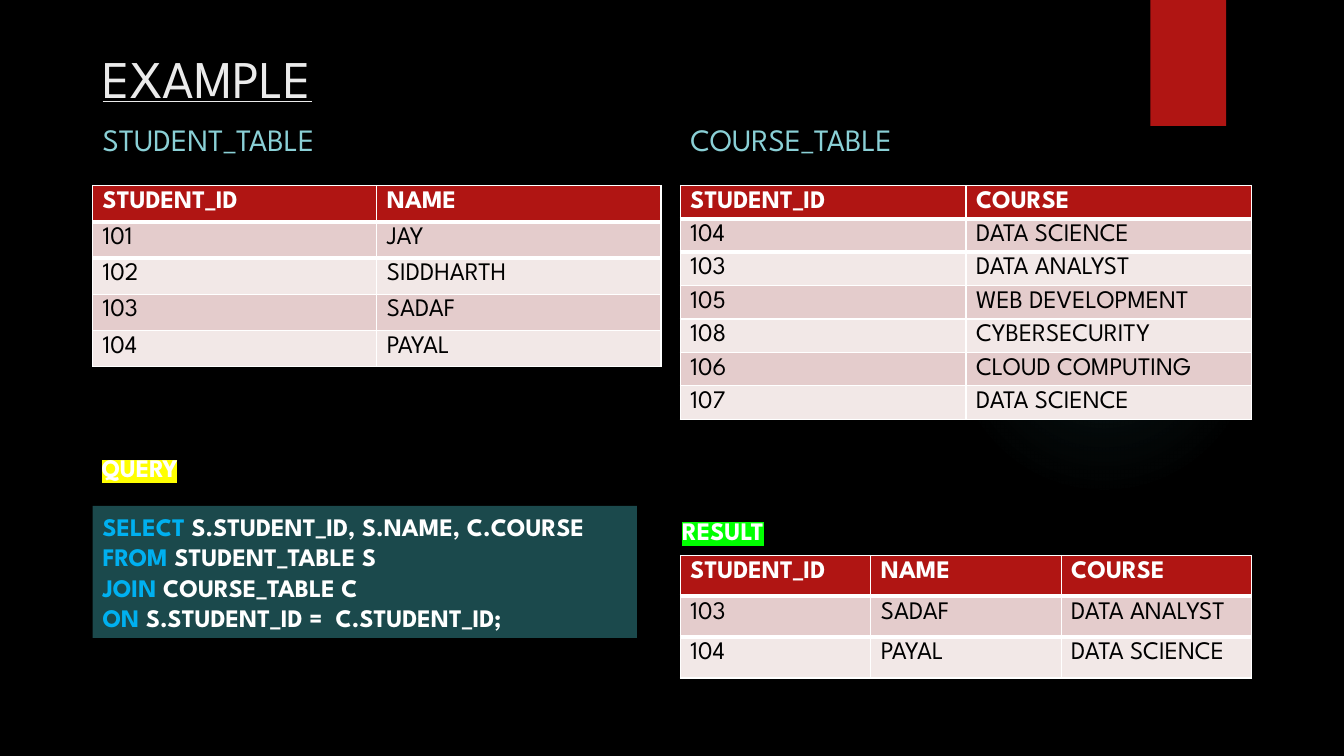
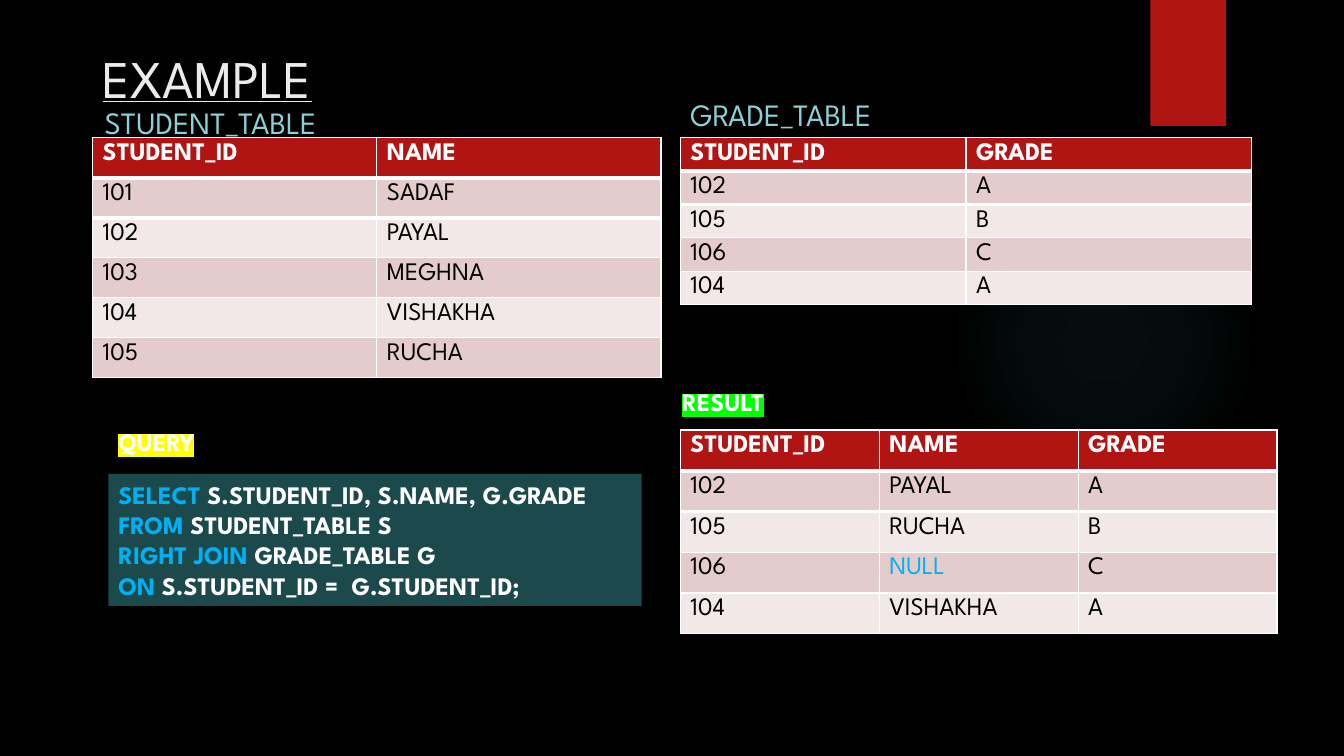
"""Build two slides that explain SQL joins with tables, a query and its result."""

from dataclasses import dataclass

from lxml import etree
from pptx import Presentation
from pptx.dml.color import RGBColor
from pptx.enum.shapes import MSO_SHAPE
from pptx.enum.text import MSO_ANCHOR, MSO_AUTO_SIZE, PP_ALIGN
from pptx.oxml import parse_xml
from pptx.oxml.ns import nsdecls, qn
from pptx.util import Pt

RECTANGLE = MSO_SHAPE.RECTANGLE
OVAL = MSO_SHAPE.OVAL
TOP = MSO_ANCHOR.TOP
BOTTOM = MSO_ANCHOR.BOTTOM
NO_RESIZE = MSO_AUTO_SIZE.NONE
LEFT_ALIGNED = PP_ALIGN.LEFT

BLACK = RGBColor(0x00, 0x00, 0x00)
WHITE = RGBColor(0xFF, 0xFF, 0xFF)
TITLE_GREY = RGBColor(0xEB, 0xEB, 0xEB)
HEADING_AQUA = RGBColor(0x8A, 0xD0, 0xD6)
GLOW_TEAL = RGBColor(0x50, 0xB9, 0xC1)
QUERY_TEAL = RGBColor(0x1B, 0x49, 0x4C)
KEYWORD_BLUE = RGBColor(0x00, 0xB0, 0xF0)
ACCENT_RED = RGBColor(0xB0, 0x15, 0x13)
ROW_DARK = RGBColor(0xE4, 0xCC, 0xCC)
ROW_LIGHT = RGBColor(0xF2, 0xE8, 0xE7)
YELLOW = RGBColor(0xFF, 0xFF, 0x00)
GREEN = RGBColor(0x00, 0xFF, 0x00)

FONT = "League Spartan"
TITLE_SIZE = 37.8
HEADING_SIZE = 22.2
TEXT_SIZE = 18
CELL_LINE_HEIGHT = 16.6
HEADER_RULE_WIDTH = 3

LEFT_COLUMN = 66.2
RIGHT_COLUMN = 486
LEFT_WIDTH = 406
RIGHT_WIDTH = 408
RESULT_LABEL_LEFT = 480.2
LABEL_HEIGHT = 28.8
QUERY_HEIGHT = 94.3
GLOW_STOPS = ((0, 7), (36, 6), (69, 0))


@dataclass(frozen=True)
class Heading:
    """A table name that stands on the bottom of its box."""

    text: str
    left: float
    top: float
    width: float
    height: float


@dataclass(frozen=True)
class Label:
    """A short highlighted caption."""

    text: str
    left: float
    top: float
    width: float
    highlight: RGBColor


@dataclass(frozen=True)
class Grid:
    """A table of equal columns and rows with a header row."""

    left: float
    top: float
    width: float
    row_height: float
    rows: tuple[tuple[str, ...], ...]


@dataclass(frozen=True)
class Query:
    """An SQL statement as pairs of keyword and remaining text."""

    left: float
    top: float
    width: float
    lines: tuple[tuple[str, str], ...]


@dataclass(frozen=True)
class Page:
    """Everything that one slide shows below its title."""

    headings: tuple[Heading, ...]
    grids: tuple[Grid, ...]
    query: Query
    labels: tuple[Label, ...]


PAGES = (
    Page(
        headings=(
            Heading("STUDENT_TABLE", LEFT_COLUMN, 83.5, LEFT_WIDTH, 32.4),
            Heading("COURSE_TABLE", RIGHT_COLUMN, 83.5, RIGHT_WIDTH, 32.4),
        ),
        grids=(
            Grid(LEFT_COLUMN, 132.5, LEFT_WIDTH, 25.9, (
                ("STUDENT_ID", "NAME"),
                ("101", "JAY"),
                ("102", "SIDDHARTH"),
                ("103", "SADAF"),
                ("104", "PAYAL"),
            )),
            Grid(RIGHT_COLUMN, 132.5, RIGHT_WIDTH, 23.8, (
                ("STUDENT_ID", "COURSE"),
                ("104", "DATA SCIENCE"),
                ("103", "DATA ANALYST"),
                ("105", "WEB DEVELOPMENT"),
                ("108", "CYBERSECURITY"),
                ("106", "CLOUD COMPUTING"),
                ("107", "DATA SCIENCE"),
            )),
            Grid(RIGHT_COLUMN, 396.7, RIGHT_WIDTH, 29.2, (
                ("STUDENT_ID", "NAME", "COURSE"),
                ("103", "SADAF", "DATA ANALYST"),
                ("104", "PAYAL", "DATA SCIENCE"),
            )),
        ),
        query=Query(LEFT_COLUMN, 361.4, 388.8, (
            ("SELECT", " S.STUDENT_ID, S.NAME, C.COURSE"),
            ("FROM", " STUDENT_TABLE S"),
            ("JOIN", " COURSE_TABLE C"),
            ("ON", " S.STUDENT_ID =  C.STUDENT_ID;"),
        )),
        labels=(
            Label("QUERY", 65.5, 319.7, 227.5, YELLOW),
            Label("RESULT", RESULT_LABEL_LEFT, 364.3, 124.6, GREEN),
        ),
    ),
    Page(
        headings=(
            Heading("STUDENT_TABLE", 67.7, 74.2, LEFT_WIDTH, 30.2),
            Heading("GRADE_TABLE", RIGHT_COLUMN, 68.4, RIGHT_WIDTH, 30.2),
        ),
        grids=(
            Grid(LEFT_COLUMN, 98.4, LEFT_WIDTH, 28.6, (
                ("STUDENT_ID", "NAME"),
                ("101", "SADAF"),
                ("102", "PAYAL"),
                ("103", "MEGHNA"),
                ("104", "VISHAKHA"),
                ("105", "RUCHA"),
            )),
            Grid(RIGHT_COLUMN, 98.4, RIGHT_WIDTH, 23.8, (
                ("STUDENT_ID", "GRADE"),
                ("102", "A"),
                ("105", "B"),
                ("106", "C"),
                ("104", "A"),
            )),
            Grid(RIGHT_COLUMN, 307.2, 426.2, 29.1, (
                ("STUDENT_ID", "NAME", "GRADE"),
                ("102", "PAYAL", "A"),
                ("105", "RUCHA", "B"),
                ("106", "NULL", "C"),
                ("104", "VISHAKHA", "A"),
            )),
        ),
        query=Query(77.5, 338.4, 380.9, (
            ("SELECT", " S.STUDENT_ID, S.NAME, G.GRADE"),
            ("FROM", " STUDENT_TABLE S"),
            ("RIGHT JOIN ", "GRADE_TABLE G"),
            ("ON", " S.STUDENT_ID =  G.STUDENT_ID;"),
        )),
        labels=(
            Label("RESULT", RESULT_LABEL_LEFT, 272.2, 112.3, GREEN),
            Label("QUERY", 77.5, 301, 112.3, YELLOW),
        ),
    ),
)


def style_span(span, size: float, color: RGBColor, bold: bool = False) -> None:
    """Give a run its font, size, colour and weight."""
    span.font.name = FONT
    span.font.size = Pt(size)
    span.font.color.rgb = color
    span.font.bold = bold


def add_plain_shape(page, kind, left: float, top: float, width: float, height: float, color: RGBColor):
    """Add a filled shape without line or shadow."""
    shape = page.shapes.add_shape(kind, Pt(left), Pt(top), Pt(width), Pt(height))
    shape.shadow.inherit = False
    shape.fill.solid()
    shape.fill.fore_color.rgb = color
    shape.line.fill.background()
    return shape


def add_text(page, text: str, left: float, top: float, width: float, height: float):
    """Add a wrapping text box with one paragraph."""
    box = page.shapes.add_textbox(Pt(left), Pt(top), Pt(width), Pt(height))
    box.text_frame.word_wrap = True
    box.text_frame.text = text
    return box


def decorate_layout(layout, page) -> None:
    """Put the glow and the red band on the layout and place its title."""
    glow = add_plain_shape(page, OVAL, 677.5, 131.8, 221.8, 221.8, GLOW_TEAL)
    stops = "".join(
        f'<a:gs pos="{position * 1000}"><a:srgbClr val="{GLOW_TEAL}">'
        f'<a:alpha val="{opacity * 1000}"/></a:srgbClr></a:gs>'
        for position, opacity in GLOW_STOPS
    )
    gradient = parse_xml(
        f'<a:gradFill {nsdecls("a")} rotWithShape="1"><a:gsLst>{stops}</a:gsLst><a:path path="circle">'
        '<a:fillToRect l="50000" t="50000" r="50000" b="50000"/></a:path></a:gradFill>'
    )
    solid = next(glow.element.iter(qn("a:solidFill")))
    solid.getparent().replace(solid, gradient)
    band = add_plain_shape(page, RECTANGLE, 821.8, 0, 54, 90, ACCENT_RED)
    for shape in (glow, band):
        layout.shapes.element.append(shape.element)
    title = layout.placeholders[0]
    title.left, title.top, title.width, title.height = Pt(LEFT_COLUMN), Pt(28.8), Pt(828), Pt(32.4)


def set_title(page, text: str) -> None:
    """Fill the title placeholder and format it."""
    frame = page.shapes.title.text_frame
    frame.text = text
    frame.vertical_anchor = TOP
    frame.auto_size = NO_RESIZE
    para = frame.paragraphs[0]
    para.alignment = LEFT_ALIGNED
    style_span(para.runs[0], TITLE_SIZE, TITLE_GREY)
    para.runs[0].font.underline = True


def add_heading(page, heading: Heading) -> None:
    """Add the name above a table."""
    box = add_text(page, heading.text, heading.left, heading.top, heading.width, heading.height)
    box.text_frame.vertical_anchor = BOTTOM
    style_span(box.text_frame.paragraphs[0].runs[0], HEADING_SIZE, HEADING_AQUA)


def add_label(page, label: Label) -> None:
    """Add a caption with a highlighter colour behind its text."""
    box = add_text(page, label.text, label.left, label.top, label.width, LABEL_HEIGHT)
    style_span(box.text_frame.paragraphs[0].runs[0], TEXT_SIZE, WHITE, bold=True)
    highlight = etree.Element(qn("a:highlight"))
    etree.SubElement(highlight, qn("a:srgbClr"), val=str(label.highlight))
    next(box.element.iter(qn("a:solidFill"))).addnext(highlight)


def rule_header(frame, column_count: int) -> None:
    """Draw a thick white rule between the header and the first row."""
    properties = list(frame.element.iter(qn("a:tcPr")))
    for index, cell_properties in enumerate(properties[:2 * column_count]):
        side = "a:lnB" if index < column_count else "a:lnT"
        rule = etree.Element(qn(side), w=str(Pt(HEADER_RULE_WIDTH)))
        fill = etree.SubElement(rule, qn("a:solidFill"))
        etree.SubElement(fill, qn("a:srgbClr"), val=str(WHITE))
        cell_properties.insert(0, rule)


def add_grid(page, grid: Grid) -> None:
    """Add a table with a red header and alternating rows."""
    row_count, column_count = len(grid.rows), len(grid.rows[0])
    frame = page.shapes.add_table(
        row_count, column_count, Pt(grid.left), Pt(grid.top), Pt(grid.width), Pt(grid.row_height * row_count)
    )
    for row_index, row in enumerate(grid.rows):
        header = row_index == 0
        fill = ACCENT_RED if header else (ROW_LIGHT, ROW_DARK)[row_index % 2]
        for column_index, text in enumerate(row):
            cell = frame.table.cell(row_index, column_index)
            cell.fill.solid()
            cell.fill.fore_color.rgb = fill
            cell.text_frame.text = text
            para = cell.text_frame.paragraphs[0]
            para.line_spacing = Pt(CELL_LINE_HEIGHT)
            color = WHITE if header else KEYWORD_BLUE if text == "NULL" else BLACK
            style_span(para.runs[0], TEXT_SIZE, color, bold=header)
    rule_header(frame, column_count)


def add_query(page, query: Query) -> None:
    """Add the SQL statement with coloured keywords."""
    box = add_plain_shape(page, RECTANGLE, query.left, query.top, query.width, QUERY_HEIGHT, QUERY_TEAL)
    frame = box.text_frame
    frame.word_wrap = True
    frame.text = "\n".join(keyword for keyword, _ in query.lines)
    for para, (_, rest) in zip(frame.paragraphs, query.lines):
        para.alignment = LEFT_ALIGNED
        para.add_run().text = rest
        for span, color in zip(para.runs, (KEYWORD_BLUE, WHITE)):
            style_span(span, TEXT_SIZE, color, bold=True)


def main() -> None:
    """Build and save the deck."""
    deck = Presentation()
    deck.slide_width, deck.slide_height = Pt(960), Pt(540)
    background = deck.slide_master.background.fill
    background.solid()
    background.fore_color.rgb = BLACK
    layout = deck.slide_layouts.get_by_name("Title Only")
    for number, content in enumerate(PAGES):
        page = deck.slides.add_slide(layout)
        if number == 0:
            decorate_layout(layout, page)
        set_title(page, "EXAMPLE")
        for heading in content.headings:
            add_heading(page, heading)
        for grid in content.grids:
            add_grid(page, grid)
        add_query(page, content.query)
        for label in content.labels:
            add_label(page, label)
    deck.save("out.pptx")


if __name__ == "__main__":
    main()
